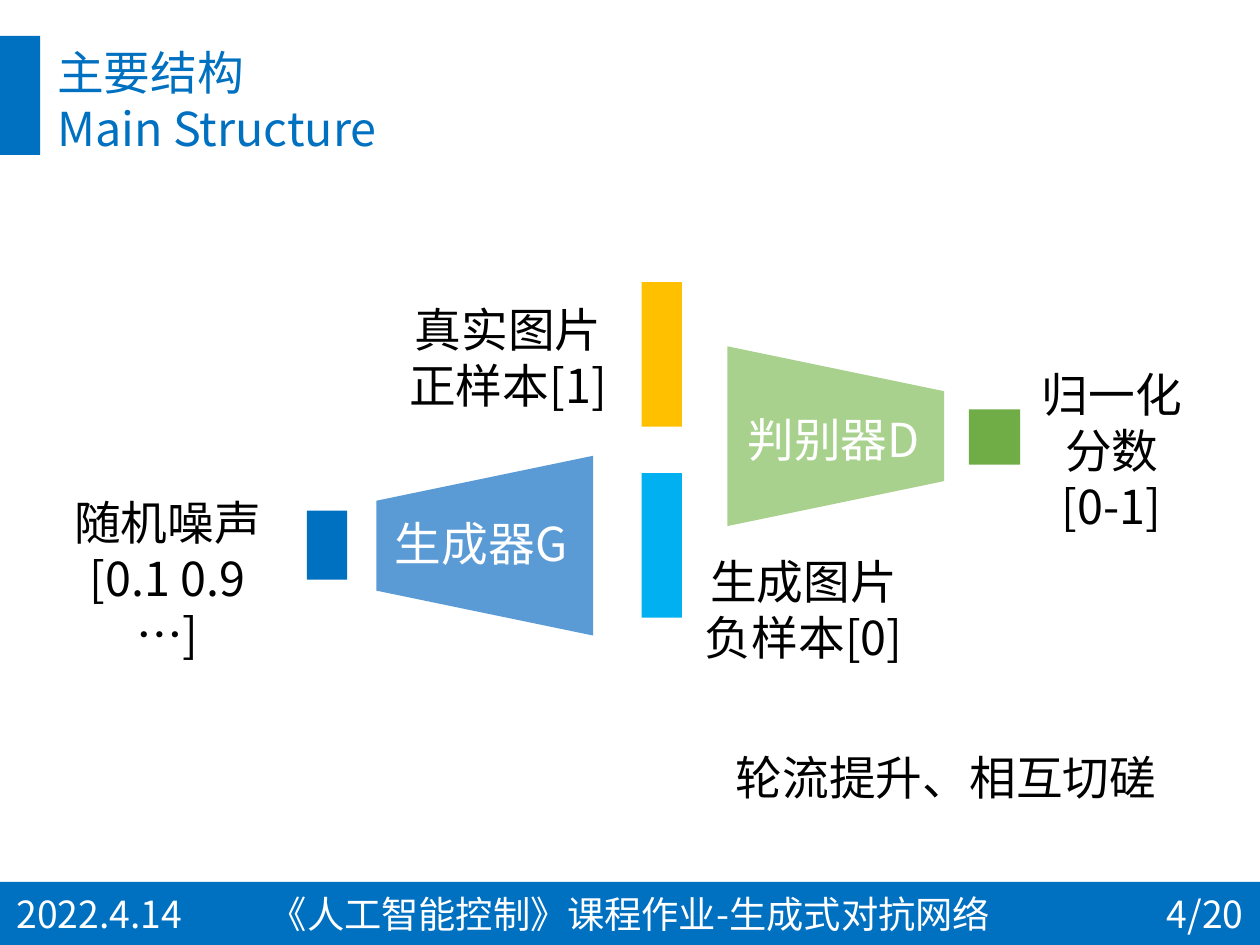
from dataclasses import dataclass

import lxml.etree
import pptx
import pptx.dml.color
import pptx.enum.shapes
import pptx.enum.text
import pptx.oxml.ns
import pptx.shapes.base
import pptx.slide
import pptx.util

CELL = 0.1  # inches; the slide is a grid of 75 columns by 56.25 rows
COLUMNS, ROWS = 75, 56.25
FONT = "Noto Sans CJK SC"
BLUE, WHITE, BLACK = "0070C0", "FFFFFF", "000000"
FOOTER_TOP = 52.5
FOOTER_ROW, FOOTER_HEIGHT = 52.8, 3.2
BAR_WIDTH, SAMPLE_HEIGHT = 2.4, 8.6
RECTANGLE = pptx.enum.shapes.MSO_SHAPE.RECTANGLE
TRAPEZOID = pptx.enum.shapes.MSO_SHAPE.TRAPEZOID
LEFT = pptx.enum.text.PP_ALIGN.LEFT
CENTER = pptx.enum.text.PP_ALIGN.CENTER
RIGHT = pptx.enum.text.PP_ALIGN.RIGHT
TOP = pptx.enum.text.MSO_ANCHOR.TOP
MIDDLE = pptx.enum.text.MSO_ANCHOR.MIDDLE


@dataclass(frozen=True)
class Area:
    """A place on the grid, in columns and rows."""
    column: float
    row: float
    width: float
    height: float

    def lengths(self) -> list[int]:
        cells = (self.column, self.row, self.width, self.height)
        return [pptx.util.Inches(count * CELL) for count in cells]


@dataclass(frozen=True)
class Block:
    area: Area
    color: str
    preset: pptx.enum.shapes.MSO_SHAPE = RECTANGLE
    rotation: int = 0


@dataclass(frozen=True)
class Label:
    area: Area
    text: str
    color: str = BLACK
    size: int = 20
    alignment: pptx.enum.text.PP_ALIGN = CENTER
    anchor: pptx.enum.text.MSO_ANCHOR = TOP


BLOCKS = [
    Block(Area(0, FOOTER_TOP, COLUMNS, ROWS - FOOTER_TOP), BLUE),
    Block(Area(0, 2.13, BAR_WIDTH, 7.1), BLUE),
    Block(Area(18.27, 30.4, BAR_WIDTH, 4.1), BLUE),
    Block(Area(23.5, 26.03, 10.7, 12.9), "5B9BD5", TRAPEZOID, 270),
    Block(Area(44.4, 19.52, 10.7, 12.9), "A9D18E", TRAPEZOID, 90),
    Block(Area(38.2, 16.8, BAR_WIDTH, SAMPLE_HEIGHT), "FFC000"),
    Block(Area(38.2, 28.17, BAR_WIDTH, SAMPLE_HEIGHT), "00B0F0"),
    Block(Area(57.67, 24.37, 3.05, 3.3), "70AD47"),
]

TITLE = Label(Area(2.4, 2.1, 42.2, 7.7), "主要结构\nMain Structure", BLUE, alignment=LEFT)

LABELS = [
    Label(Area(2.87, 28.9, 14.2, 7.7), "随机噪声\n[0.1 0.9 …]"),
    Label(Area(40.15, 32.4, 15.4, 7.7), "生成图片\n负样本[0]"),
    Label(Area(23, 17.4, 14.5, 7.7), "真实图片\n正样本[1]"),
    Label(Area(21.53, 30.15, 14.2, 4.4), "生成器G", WHITE),
    Label(Area(41.63, 23.97, 16, 4.4), "判别器D", WHITE),
    Label(Area(60.73, 21.3, 10.9, 11.1), "归一化分数\n[0-1]"),
    Label(Area(41.47, 44.1, 29.7, 4.4), "轮流提升、相互切磋"),
] + [
    Label(Area(column, FOOTER_ROW, width, FOOTER_HEIGHT), text, WHITE, 16, alignment, MIDDLE)
    for column, width, text, alignment in [
        (0, 12.3, "2022.4.14", LEFT),
        (14.05, 46.9, "《人工智能控制》课程作业-生成式对抗网络", CENTER),
        (64.3, 10.7, "4/20", RIGHT),
    ]
]


def rgb(color: str) -> pptx.dml.color.RGBColor:
    return pptx.dml.color.RGBColor.from_string(color)


def draw_block(slide: pptx.slide.Slide, block: Block) -> None:
    shape = slide.shapes.add_shape(block.preset, *block.area.lengths())
    shape.shadow.inherit = False
    shape.rotation = block.rotation
    shape.fill.solid()
    shape.fill.fore_color.rgb = rgb(block.color)
    shape.line.fill.background()


def write_label(shape: pptx.shapes.base.BaseShape, label: Label) -> None:
    """Place the shape, then fill it with the label's formatted text."""
    shape.left, shape.top, shape.width, shape.height = label.area.lengths()
    text_frame = shape.text_frame
    text_frame.text = label.text
    text_frame.word_wrap = True
    text_frame.auto_size = pptx.enum.text.MSO_AUTO_SIZE.NONE
    text_frame.vertical_anchor = label.anchor
    for paragraph in text_frame.paragraphs:
        paragraph.alignment = label.alignment
        for run in paragraph.runs:
            run.font.size = pptx.util.Pt(label.size)
            run.font.color.rgb = rgb(label.color)
            run.font.name = FONT
            east_asian = lxml.etree.SubElement(
                run.font._element, pptx.oxml.ns.qn("a:ea"))
            east_asian.set("typeface", FONT)


def main() -> None:
    presentation = pptx.Presentation()
    presentation.slide_width = pptx.util.Inches(COLUMNS * CELL)
    presentation.slide_height = pptx.util.Inches(ROWS * CELL)
    slide = presentation.slides.add_slide(presentation.slide_layouts[5])
    write_label(slide.shapes.title, TITLE)
    for block in BLOCKS:
        draw_block(slide, block)
    for label in LABELS:
        write_label(slide.shapes.add_textbox(*label.area.lengths()), label)
    presentation.save("out.pptx")


if __name__ == "__main__":
    main()
